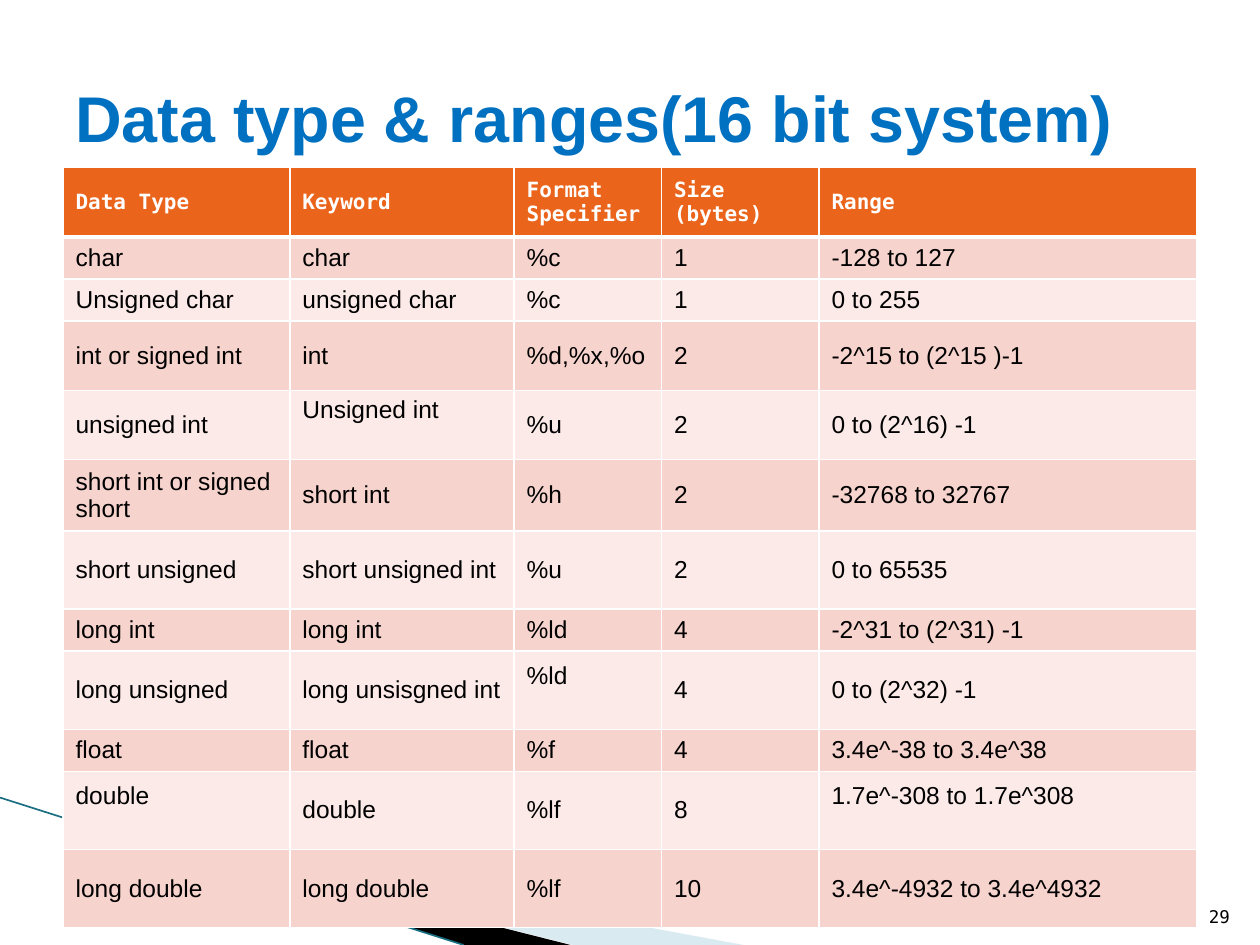
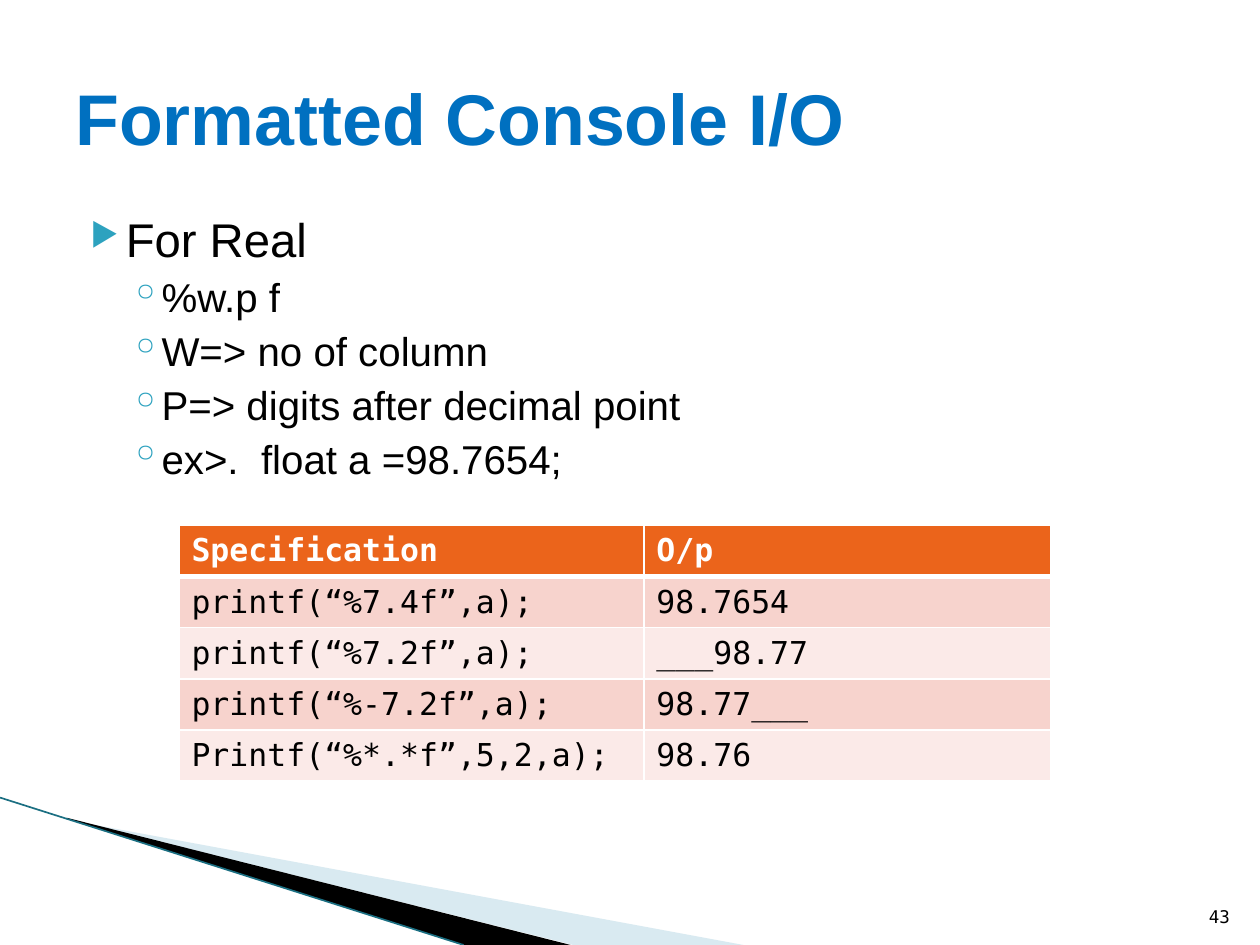
from collections import namedtuple

from lxml.etree import SubElement
from pptx import Presentation
from pptx.dml.color import RGBColor
from pptx.enum.shapes import MSO_CONNECTOR
from pptx.enum.text import MSO_ANCHOR, PP_ALIGN
from pptx.oxml.ns import qn
from pptx.util import Inches, Pt

# Slide grid: 100 columns by 75 rows, each a tenth of an inch
COLS, ROWS = 100, 75
SANS, MONO = "Arial", "DejaVu Sans Mono"
HUES = {
    "title": "0070C0", "text": "000000", "white": "FFFFFF",
    "head": "EB641B", "odd": "F7D3CD", "even": "FBEAE8",
    "pale": "A0CBDC", "dark": "000000", "edge": "1B6F82",
    "mark": "2DA2BF",
}

Box = namedtuple("Box", "x y w h")
BAND = Box(0, 63.3, 59, 11.7)
TITLE = Box(5, 3, 90, 12.5)
FOOT = Box(94.6, 70.1, 4, 4)
LIST = Box(5, 16.2, 90, 49.5)

TYPES = """Data Type|Keyword|Format Specifier|Size\v(bytes)|Range
char|char|%c|1|-128 to 127
Unsigned char|unsigned char|%c|1|0 to 255
int or signed int|int|%d,%x,%o|2|-2^15 to (2^15 )-1
unsigned int|Unsigned int|%u|2|0 to (2^16) -1
short int or signed short|short int|%h|2|-32768 to 32767
short unsigned|short unsigned int|%u|2|0 to 65535
long int|long int|%ld|4|-2^31 to (2^31) -1
long unsigned|long unsisgned int|%ld|4|0 to (2^32) -1
float|float|%f|4|3.4e^-38 to 3.4e^38
double|double|%lf|8|1.7e^-308 to 1.7e^308
long double|long double|%lf|10|3.4e^-4932 to 3.4e^4932"""
RAISED = {(4, 1), (8, 2), (10, 0), (10, 4)}

PRINTS = """Specification|O/p
printf(“%7.4f”,a);|98.7654
printf(“%7.2f”,a);|___98.77
printf(“%-7.2f”,a);|98.77___
Printf(“%*.*f”,5,2,a);|98.76"""

POINTS = ["For Real", "%w.p f", "W=> no of column",
          "P=> digits after decimal point", "ex>.  float a =98.7654;"]


def unit(n):
    return Inches(n / 10)


def place(box):
    return [unit(n) for n in box]


def hue(name):
    return RGBColor.from_string(HUES[name])


def style(para, face, size, tone, bold=False):
    for run in para.runs:
        font = run.font
        font.name, font.size, font.bold = face, Pt(size), bold
        font.color.rgb = hue(tone)


def add_text(slide, box, lines, anchor):
    frame = slide.shapes.add_textbox(*place(box)).text_frame
    frame.word_wrap = True
    frame.vertical_anchor = anchor
    frame.text = "\n".join(lines)
    return frame.paragraphs


# Corner bands
def add_wedge(slide, box, spots, tone, alpha=None):
    dots = [(unit(box.x + x), unit(box.y + y)) for x, y in spots]
    form = slide.shapes.build_freeform(*dots[0], scale=1.0)
    form.add_line_segments(dots[1:], close=True)
    shape = form.convert_to_shape()
    shape.shadow.inherit = False
    shape.fill.solid()
    shape.fill.fore_color.rgb = hue(tone)
    shape.line.fill.background()
    if alpha:
        clr = shape.fill._xPr.find(".//" + qn("a:srgbClr"))
        SubElement(clr, qn("a:alpha"), val=str(alpha * 1000))


def add_band(slide, box):
    low = box.h
    add_wedge(slide, box, [(5.5, 1.8), (box.w, low), (45.5, low), (5.5, 1.7)],
              "pale", 40)
    add_wedge(slide, box, [(5.3, 1.6), (45.3, low), (36.8, low), (5.4, 1.7)],
              "dark")
    edge = slide.shapes.add_connector(
        MSO_CONNECTOR.STRAIGHT, unit(box.x), unit(box.y),
        unit(box.x + 36.8), unit(box.y + low))
    edge.line.color.rgb = hue("edge")
    edge.line.width = Pt(0.95)
    SubElement(edge._element.spPr, qn("a:effectLst"))


# Title and page number
def add_title(slide, box, text, size):
    para, = add_text(slide, box, [text], MSO_ANCHOR.MIDDLE)
    style(para, SANS, size, "title", True)


def add_foot(slide, box, page):
    para, = add_text(slide, box, [str(page)], MSO_ANCHOR.BOTTOM)
    para.alignment = PP_ALIGN.RIGHT
    style(para, MONO, 10, "text")


# Bullet list: a heading, then its points
def add_mark(para, sign, left, hang, share):
    props = para._p.get_or_add_pPr()
    props.set("marL", str(unit(left)))
    props.set("indent", str(-unit(hang)))
    tint = SubElement(props, qn("a:buClr"))
    SubElement(tint, qn("a:srgbClr"), val=HUES["mark"])
    SubElement(props, qn("a:buSzPct"), val=str(share * 1000))
    SubElement(props, qn("a:buChar"), char=sign)


def add_list(slide, box, lines):
    paras = add_text(slide, box, lines, MSO_ANCHOR.TOP)
    add_mark(paras[0], "▶", 4, 2.8, 68)
    style(paras[0], SANS, 27, "text")
    for para in paras[1:]:
        para.level = 1
        add_mark(para, "◦", 6.8, 2.5, 100)
        para.space_before = Pt(3.2)
        style(para, SANS, 23, "text")


# Tables: header row, then two tints in turn
def add_edges(cell, row):
    props = cell._tc.get_or_add_tcPr()
    top, low = (3 if row == 1 else 1), (3 if row == 0 else 1)
    for side, wide in zip("LRTB", (1, 1, top, low)):
        line = SubElement(props, qn("a:ln" + side), w=str(Pt(wide)))
        fill = SubElement(line, qn("a:solidFill"))
        SubElement(fill, qn("a:srgbClr"), val=HUES["white"])


def add_grid(slide, box, data, wide, tall, head, face, size, raised=()):
    rows = [line.split("|") for line in data.split("\n")]
    grid = slide.shapes.add_table(len(rows), len(wide), *place(box)).table
    for col, w in zip(grid.columns, wide):
        col.width = unit(w)
    for r, texts in enumerate(rows):
        grid.rows[r].height = unit(tall[r])
        tone = "head" if r == 0 else ("odd" if r % 2 else "even")
        for c, text in enumerate(texts):
            cell = grid.cell(r, c)
            add_edges(cell, r)
            cell.fill.solid()
            cell.fill.fore_color.rgb = hue(tone)
            cell.vertical_anchor = MSO_ANCHOR.MIDDLE
            if (r, c) in raised:
                # Upper line of a centred pair of lines
                cell.vertical_anchor = MSO_ANCHOR.TOP
                cell.margin_top = unit((tall[r] - 4.5) / 2)
            cell.text_frame.text = text.replace("\v", "\n")
            for para in cell.text_frame.paragraphs:
                if r == 0:
                    style(para, MONO, head, "white", True)
                else:
                    style(para, face, size, "text")


def add_base(deck, title, size, page):
    slide = deck.slides.add_slide(deck.slide_layouts[6])
    add_band(slide, BAND)
    add_title(slide, TITLE, title, size)
    add_foot(slide, FOOT, page)
    return slide


def type_slide(deck):
    slide = add_base(deck, "Data type & ranges(16 bit system)", 36.9, 29)
    tall = [5.5, 3.3, 3.3, 5.5, 5.5, 5.5, 6.2, 3.3, 6.2, 3.3, 6.2, 6.2]
    add_grid(slide, Box(5, 13.3, 90, sum(tall)), TYPES,
             [18, 17.8, 11.7, 12.5, 30], tall, 12, SANS, 14, RAISED)


def print_slide(deck):
    slide = add_base(deck, "Formatted Console I/O", 41, 43)
    add_list(slide, LIST, POINTS)
    tall = [4.06] * 5
    add_grid(slide, Box(14.2, 41.7, 69.2, sum(tall)), PRINTS,
             [36.9, 32.3], tall, 18, MONO, 18)


def main():
    deck = Presentation()
    deck.slide_width, deck.slide_height = unit(COLS), unit(ROWS)
    type_slide(deck)
    print_slide(deck)
    deck.save("out.pptx")


if __name__ == "__main__":
    main()
